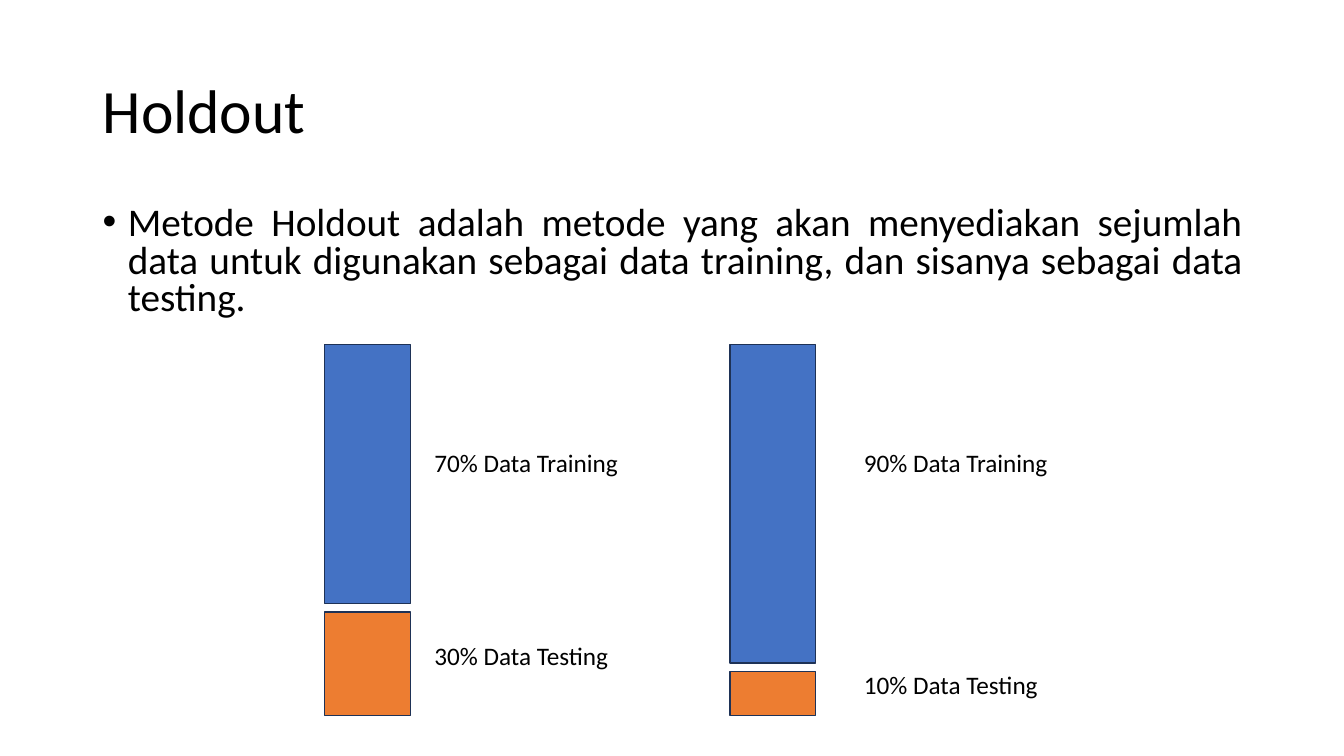
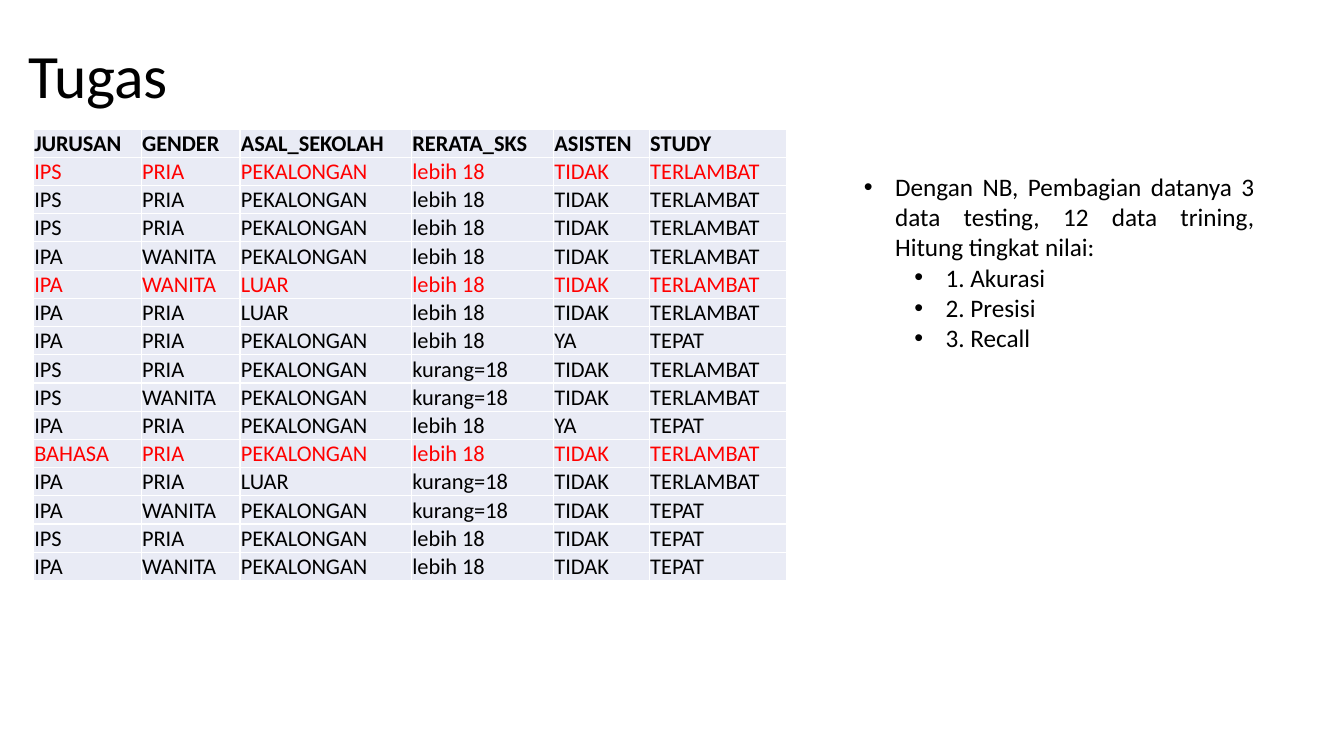
"""Build two slides: the holdout method and a classification task."""
import pptx
import pptx.util
import pptx.dml.color
import pptx.enum.shapes
import pptx.enum.text
import pptx.oxml
import pptx.oxml.ns
from lxml import etree

Inches, Pt = pptx.util.Inches, pptx.util.Pt
Align = pptx.enum.text.PP_ALIGN
Anchor = pptx.enum.text.MSO_ANCHOR
qn = pptx.oxml.ns.qn


class Theme:
    font = "Calibri"
    ink, mark, white = "000000", "FF0000", "FFFFFF"
    train, test, edge, cell = "4472C4", "ED7D31", "1E3256", "E9EBF5"
    title, body, label, grid = 44, 28, 18, 16


METHOD = ("Metode Holdout adalah metode yang akan menyediakan sejumlah data "
          "untuk digunakan sebagai data training, dan sisanya sebagai data testing.")

BARS = [
    {"left": 3.22, "text": 4.21, "parts": [
        ("70% Data Training", 2.57, 4.39, Theme.train),
        ("30% Data Testing", 1.03, 6.3, Theme.test)]},
    {"left": 7.24, "text": 8.47, "parts": [
        ("90% Data Training", 3.16, 4.39, Theme.train),
        ("10% Data Testing", 0.44, 6.59, Theme.test)]},
]
BAR_TOP, BAR_WIDE, BAR_GAP = 3.42, 0.85, 0.08

HEAD = ("JURUSAN", "GENDER", "ASAL_SEKOLAH", "RERATA_SKS", "ASISTEN", "STUDY")
ROWS = [
    ("IPS", "PRIA", "PEKALONGAN", "lebih 18", "TIDAK", "TERLAMBAT"),
    ("IPS", "PRIA", "PEKALONGAN", "lebih 18", "TIDAK", "TERLAMBAT"),
    ("IPS", "PRIA", "PEKALONGAN", "lebih 18", "TIDAK", "TERLAMBAT"),
    ("IPA", "WANITA", "PEKALONGAN", "lebih 18", "TIDAK", "TERLAMBAT"),
    ("IPA", "WANITA", "LUAR", "lebih 18", "TIDAK", "TERLAMBAT"),
    ("IPA", "PRIA", "LUAR", "lebih 18", "TIDAK", "TERLAMBAT"),
    ("IPA", "PRIA", "PEKALONGAN", "lebih 18", "YA", "TEPAT"),
    ("IPS", "PRIA", "PEKALONGAN", "kurang=18", "TIDAK", "TERLAMBAT"),
    ("IPS", "WANITA", "PEKALONGAN", "kurang=18", "TIDAK", "TERLAMBAT"),
    ("IPA", "PRIA", "PEKALONGAN", "lebih 18", "YA", "TEPAT"),
    ("BAHASA", "PRIA", "PEKALONGAN", "lebih 18", "TIDAK", "TERLAMBAT"),
    ("IPA", "PRIA", "LUAR", "kurang=18", "TIDAK", "TERLAMBAT"),
    ("IPA", "WANITA", "PEKALONGAN", "kurang=18", "TIDAK", "TEPAT"),
    ("IPS", "PRIA", "PEKALONGAN", "lebih 18", "TIDAK", "TEPAT"),
    ("IPA", "WANITA", "PEKALONGAN", "lebih 18", "TIDAK", "TEPAT"),
]
TESTS = {1, 5, 11}
COLS = (1.07, 0.98, 1.7, 1.41, 0.95, 1.36)
ROW_HIGH = 0.28

TASK = [
    ("Dengan NB, Pembagian datanya 3 data testing, 12 data trining, "
     "Hitung tingkat nilai:", 0),
    ("1. Akurasi", 1),
    ("2. Presisi", 1),
    ("3. Recall", 1),
]


def rgb(code):
    return pptx.dml.color.RGBColor.from_string(code)


def style(para, size, color=Theme.ink, bold=False):
    font = para.font
    font.name, font.size, font.bold = Theme.font, Pt(size), bold
    font.color.rgb = rgb(color)


def add_box(slide, left, top, width, height, wrap=True):
    frame = slide.shapes.add_textbox(*map(Inches, (left, top, width, height))).text_frame
    frame.word_wrap = wrap
    return frame


def add_title(slide, text, left, top):
    frame = add_box(slide, left, top, 11.5, 1.45)
    frame.vertical_anchor = Anchor.MIDDLE
    para = frame.paragraphs[0]
    para.text, para.line_spacing = text, 0.9
    style(para, Theme.title)


def bullet(para, left, hang):
    props = para._p.get_or_add_pPr()
    props.set("marL", str(Inches(left)))
    props.set("indent", str(-Inches(hang)))
    etree.SubElement(props, qn("a:buFont"), typeface="Arial")
    etree.SubElement(props, qn("a:buChar"), char="•")
    para.alignment = Align.JUSTIFY


def add_bar(slide, bar):
    top = BAR_TOP
    for text, high, text_top, color in bar["parts"]:
        rect = slide.shapes.add_shape(
            pptx.enum.shapes.MSO_SHAPE.RECTANGLE,
            *map(Inches, (bar["left"], top, BAR_WIDE, high)))
        rect.shadow.inherit = False
        rect.fill.solid()
        rect.fill.fore_color.rgb = rgb(color)
        rect.line.color.rgb = rgb(Theme.edge)
        rect.line.width = Pt(1)
        para = add_box(slide, bar["text"], text_top, 2.04, 0.4, False).paragraphs[0]
        para.text = text
        style(para, Theme.label)
        top += high + BAR_GAP


def fill_cell(cell, text, color, bold):
    cell.margin_left = cell.margin_right = cell.margin_top = Inches(0.01)
    cell.margin_bottom = 0
    cell.vertical_anchor = Anchor.BOTTOM
    props = cell._tc.get_or_add_tcPr()
    for side in ("lnL", "lnR", "lnT", "lnB"):
        line = etree.SubElement(props, qn("a:" + side), w=str(Pt(1)))
        paint = etree.SubElement(line, qn("a:solidFill"))
        etree.SubElement(paint, qn("a:srgbClr"), val=Theme.white)
    cell.fill.solid()
    cell.fill.fore_color.rgb = rgb(Theme.cell)
    para = cell.text_frame.paragraphs[0]
    para.text = text
    style(para, Theme.grid, color, bold)


def add_grid(slide, left, top):
    data = [HEAD] + ROWS
    table = slide.shapes.add_table(
        len(data), len(COLS),
        *map(Inches, (left, top, sum(COLS), ROW_HIGH * len(data)))).table
    table.first_row = table.horz_banding = False
    for col, wide in zip(table.columns, COLS):
        col.width = Inches(wide)
    for r, row in enumerate(data):
        table.rows[r].height = Inches(ROW_HIGH)
        color = Theme.mark if r in TESTS else Theme.ink
        for c, text in enumerate(row):
            fill_cell(table.cell(r, c), text, color, r == 0)


def holdout(slide):
    add_title(slide, "Holdout", 0.92, 0.4)
    para = add_box(slide, 0.92, 2, 11.5, 1.34).paragraphs[0]
    para.text = METHOD
    bullet(para, 0.25, 0.25)
    para.line_spacing, para.space_before = 0.8, Pt(10)
    style(para, Theme.body)
    for bar in BARS:
        add_bar(slide, bar)


def task(slide):
    add_title(slide, "Tugas", 0.18, 0.05)
    add_grid(slide, 0.33, 1.28)
    frame = add_box(slide, 8.47, 1.65, 4.07, 1.92)
    for i, (text, level) in enumerate(TASK):
        para = frame.add_paragraph() if i else frame.paragraphs[0]
        para.text, para.level = text, level
        bullet(para, 0.31 + 0.5 * level, 0.31)
        style(para, Theme.label)


def main():
    deck = pptx.Presentation()
    deck.slide_width, deck.slide_height = Inches(13.33), Inches(7.5)
    for draw in (holdout, task):
        draw(deck.slides.add_slide(deck.slide_layouts[6]))
    deck.save("out.pptx")


if __name__ == "__main__":
    main()
